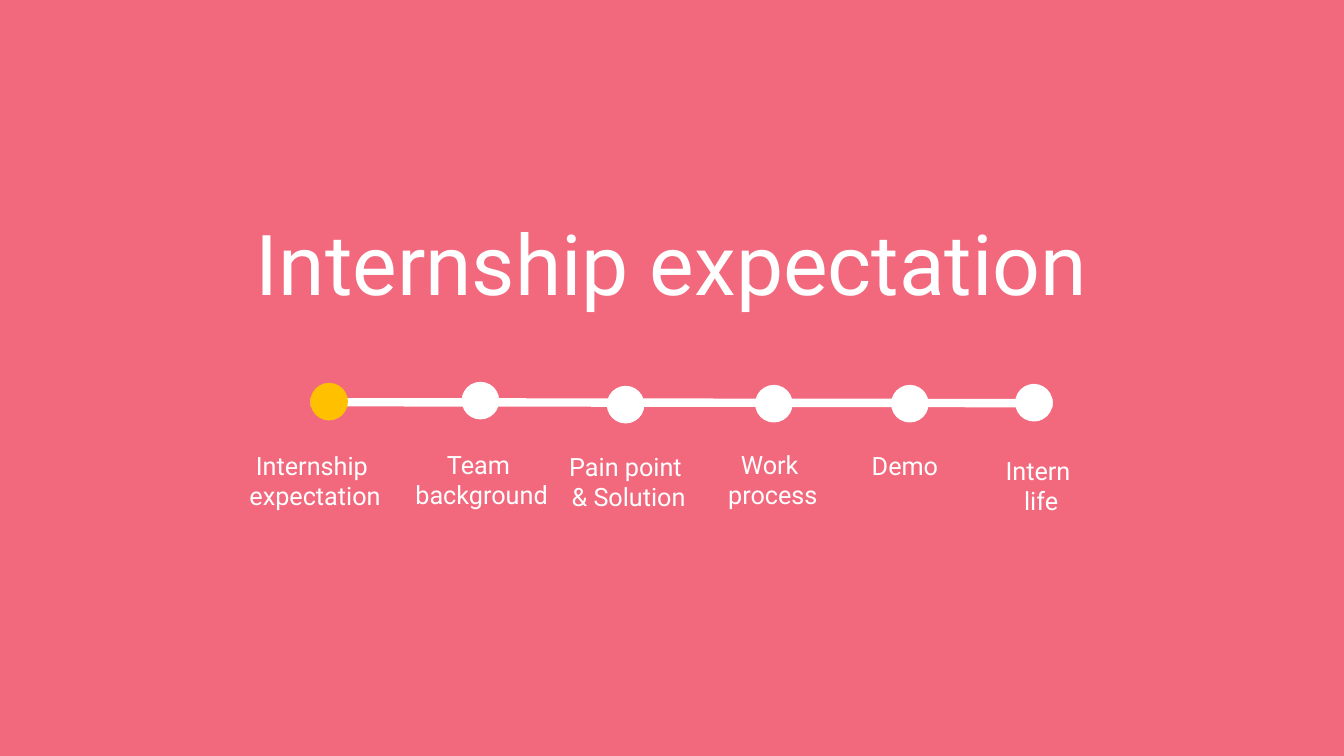
from pptx import Presentation
from pptx.dml.color import RGBColor
from pptx.enum.shapes import MSO_CONNECTOR, MSO_SHAPE
from pptx.enum.text import MSO_AUTO_SIZE, PP_ALIGN
from pptx.oxml.ns import qn
from pptx.util import Inches, Pt
from lxml.etree import SubElement

ROSE = RGBColor(0xF2, 0x69, 0x7E)
WHITE = RGBColor(0xFF, 0xFF, 0xFF)
GOLD = RGBColor(0xFF, 0xC0, 0x00)

# Centre x, dot centre y, label centre x, label top: percent of the slide
STEPS = [
    (24.49, 53.13, 23.44, 58.93, ["Internship ", "expectation"]),
    (35.75, 53.00, 35.60, 58.80, ["Team", " background"]),
    (46.55, 53.53, 46.77, 59.07, ["Pain point ", "& Solution"]),
    (57.58, 53.40, 57.50, 58.80, ["Work ", "process"]),
    (67.70, 53.40, 67.33, 58.93, ["Demo"]),
    (76.93, 53.27, 77.46, 59.60, ["Intern ", "life"]),
]


class Deck:
    """Holds the style and the slide; lengths are percent of the slide."""

    font = {"name": "Roboto"}

    def __init__(self):
        self.show = Presentation()
        self.show.slide_width = Inches(13.33)
        self.show.slide_height = Inches(7.5)
        self.slide = self.show.slides.add_slide(self.show.slide_layouts[6])
        back = self.slide.background.fill
        back.solid()
        back.fore_color.rgb = ROSE

    def wide(self, share):
        return round(self.show.slide_width * share / 100)

    def high(self, share):
        return round(self.show.slide_height * share / 100)

    def text(self, left, top, width, height, lines, size, wrap, align=None):
        box = self.slide.shapes.add_textbox(
            self.wide(left), self.high(top), self.wide(width), self.high(height))
        frame = box.text_frame
        frame.text = "\n".join(lines)
        frame.word_wrap = wrap
        frame.auto_size = MSO_AUTO_SIZE.SHAPE_TO_FIT_TEXT
        for para in frame.paragraphs:
            para.alignment = align
            font = para.runs[0].font
            for key, value in {**self.font, "size": Pt(size)}.items():
                setattr(font, key, value)
            font.color.rgb = WHITE

    def line(self, x1, y1, x2, y2, weight):
        line = self.slide.shapes.add_connector(
            MSO_CONNECTOR.STRAIGHT,
            self.wide(x1), self.high(y1), self.wide(x2), self.high(y2))
        line.line.color.rgb = WHITE
        line.line.width = Pt(weight)
        SubElement(line._element.spPr, qn("a:effectLst"))

    def dot(self, x, y, color, size=2.8):
        side = self.wide(size)
        dot = self.slide.shapes.add_shape(
            MSO_SHAPE.OVAL, self.wide(x) - side // 2,
            self.high(y) - side // 2, side, side)
        dot.shadow.inherit = False
        dot.fill.solid()
        dot.fill.fore_color.rgb = color
        dot.line.fill.background()


def main():
    deck = Deck()

    # Title
    deck.text(18.3, 27.33, 64, 14.8, ["Internship expectation"], 60, False)

    # Timeline, with the current step in gold
    deck.line(23.11, 53.2, 78.32, 53.33, 6)
    for i, (x, y, mid, top, lines) in enumerate(STEPS):
        deck.dot(x, y, WHITE if i else GOLD)
        deck.text(mid - 11, top, 22, 1.2 + 4.13 * len(lines), lines,
                  18, True, PP_ALIGN.CENTER)

    deck.show.save("out.pptx")


if __name__ == "__main__":
    main()
